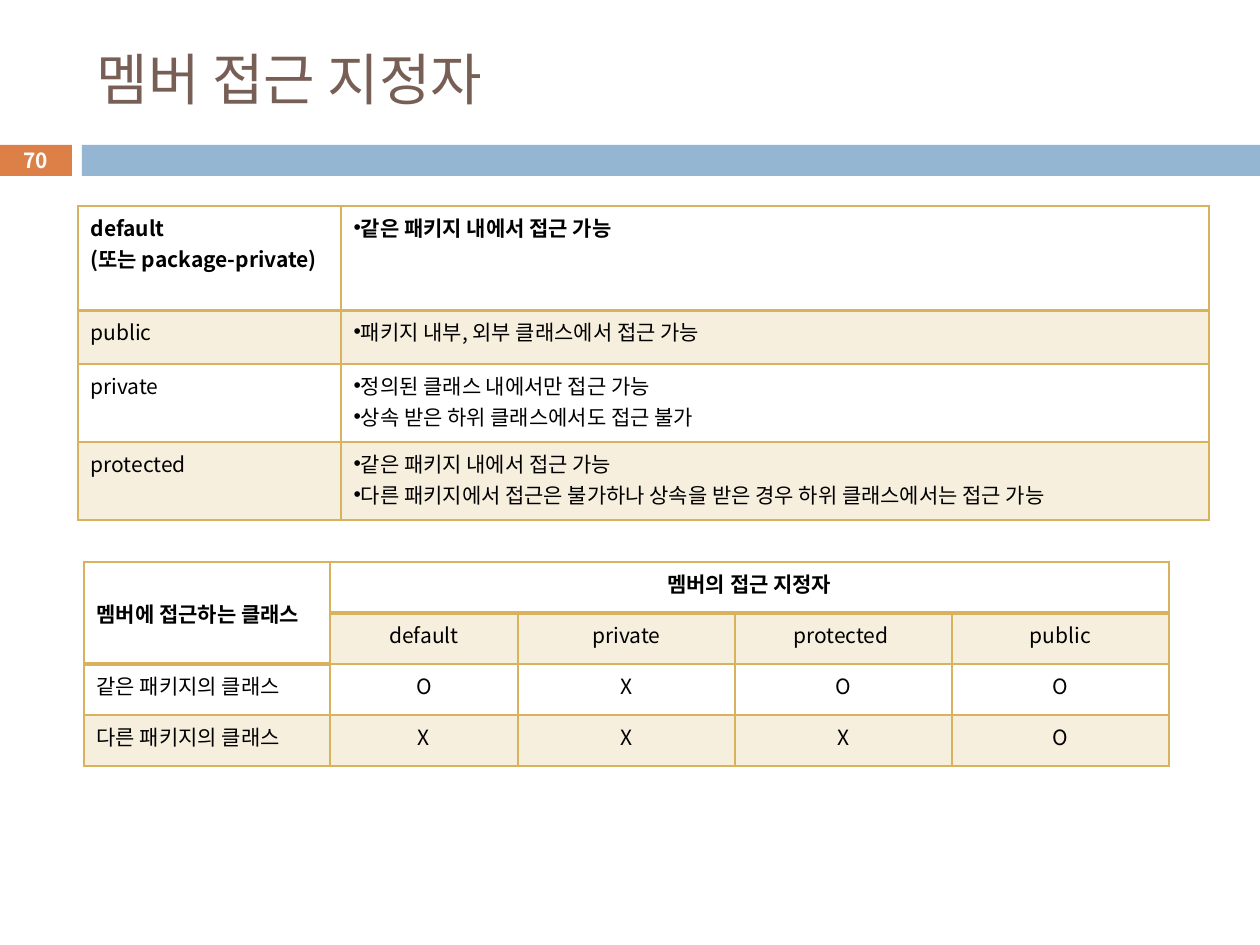
from dataclasses import dataclass
from lxml import etree
from pptx import Presentation
from pptx import util as u
from pptx.dml.color import RGBColor
from pptx.enum import shapes, text
from pptx.oxml import ns

# Content
TITLE = "멤버 접근 지정자"
PAGE = "70"
MODIFIERS = [
    (["default", "(또는 package-private)"], ["같은 패키지 내에서 접근 가능"]),
    (["public"], ["패키지 내부, 외부 클래스에서 접근 가능"]),
    (["private"], ["정의된 클래스 내에서만 접근 가능", "상속 받은 하위 클래스에서도 접근 불가"]),
    (["protected"], ["같은 패키지 내에서 접근 가능",
                     "다른 패키지에서 접근은 불가하나 상속을 받은 경우 하위 클래스에서는 접근 가능"]),
]
ACCESS = [
    ("멤버에 접근하는 클래스", "멤버의 접근 지정자", None, None, None),
    (None, "default", "private", "protected ", "public"),
    ("같은 패키지의 클래스", "O", "X", "O", "O"),
    ("다른 패키지의 클래스", "X", "X", "X", "O"),
]


@dataclass(frozen=True)
class Theme:
    font: str = "Noto Sans CJK KR"
    title: str = "775F55"
    ink: str = "000000"
    white: str = "FFFFFF"
    orange: str = "DD8047"
    blue: str = "94B6D2"
    gold: str = "D8B25C"
    tint: int = 20
    title_pt: float = 32
    body_pt: float = 12
    page_pt: float = 11.9


T = Theme()
SCALE = 914400 / 126


def px(n):
    return u.Emu(round(n * SCALE))


def box(*lengths):
    return [px(n) for n in lengths]


def add_run(p, words, size, color, bold=False):
    r = p.add_run()
    r.text = words
    f = r.font
    f.size, f.bold, f.name = u.Pt(size), bold, T.font
    f.color.rgb = RGBColor.from_string(color)
    etree.SubElement(r._r.get_or_add_rPr(), ns.qn("a:ea"), typeface=T.font)


def add_bar(s, color, *place):
    sp = s.shapes.add_shape(shapes.MSO_SHAPE.RECTANGLE, *box(*place))
    sp.shadow.inherit = False
    sp.fill.solid()
    sp.fill.fore_color.rgb = RGBColor.from_string(color)
    sp.line.fill.background()


def set_bullet(p):
    pPr = p._p.get_or_add_pPr()
    pPr.set("marL", "0")
    pPr.set("indent", "0")
    etree.SubElement(pPr, ns.qn("a:buFont"), typeface="Arial")
    etree.SubElement(pPr, ns.qn("a:buChar"), char="•")


def paint_cell(cell, tinted):
    if not tinted:
        cell.fill.background()
        return
    cell.fill.solid()
    cell.fill.fore_color.rgb = RGBColor.from_string(T.gold)
    clr = cell._tc.tcPr.find(".//" + ns.qn("a:srgbClr"))
    etree.SubElement(clr, ns.qn("a:alpha"), val=str(T.tint * 1000))


def set_borders(cell, top, bottom):
    tcPr = cell._tc.get_or_add_tcPr()
    for i, (side, width) in enumerate(zip("LRTB", (1, 1, top, bottom))):
        ln = etree.Element(ns.qn("a:ln" + side), w=str(u.Pt(width)))
        fill = etree.SubElement(ln, ns.qn("a:solidFill"))
        etree.SubElement(fill, ns.qn("a:srgbClr"), val=T.gold)
        tcPr.insert(i, ln)


def write_cell(cell, lines, bold, bullet=False, centred=False):
    tf = cell.text_frame
    for i, line in enumerate(lines):
        p = tf.add_paragraph() if i else tf.paragraphs[0]
        if bullet:
            set_bullet(p)
        if centred:
            p.alignment = text.PP_ALIGN.CENTER
        add_run(p, line, T.body_pt, T.ink, bold)


def add_grid(s, left, top, cols, rows, heavy):
    """Odd rows are tinted; cells in heavy have a thick bottom edge."""
    frame = s.shapes.add_table(len(rows), len(cols), *box(left, top, sum(cols), sum(rows)))
    tbl = frame.table
    tbl.first_row = tbl.horz_banding = False
    for col, width in zip(tbl.columns, cols):
        col.width = px(width)
    for i, height in enumerate(rows):
        tbl.rows[i].height = px(height)
        for j in range(len(cols)):
            cell = tbl.cell(i, j)
            paint_cell(cell, i % 2 == 1)
            set_borders(cell, 2 if (i - 1, j) in heavy else 1, 2 if (i, j) in heavy else 1)
    return tbl


def main():
    prs = Presentation()
    prs.slide_width, prs.slide_height = box(1260, 945)
    s = prs.slides.add_slide(prs.slide_layouts[5])

    # Title and page band
    title = s.shapes.title
    title.left, title.top, title.width, title.height = box(84, 32, 1124, 93)
    tf = title.text_frame
    tf.vertical_anchor = text.MSO_ANCHOR.MIDDLE
    tf.paragraphs[0].alignment = text.PP_ALIGN.LEFT
    add_run(tf.paragraphs[0], TITLE, T.title_pt, T.title)
    add_bar(s, T.orange, -1, 145, 73, 31)
    add_bar(s, T.blue, 82, 145, 1178, 31)

    # Modifier descriptions
    tbl = add_grid(s, 78, 206, [263, 868], [88, 54, 78, 78], {(0, 0), (0, 1)})
    for i, (names, rules) in enumerate(MODIFIERS):
        write_cell(tbl.cell(i, 0), names, i == 0)
        write_cell(tbl.cell(i, 1), rules, i == 0, bullet=True)

    # Access matrix
    heavy = {(0, j) for j in range(5)} | {(1, 0)}
    tbl = add_grid(s, 84, 562, [246, 188, 217, 217, 217], [51] * 4, heavy)
    tbl.cell(0, 0).merge(tbl.cell(1, 0))
    tbl.cell(0, 1).merge(tbl.cell(0, 4))
    tbl.cell(0, 0).vertical_anchor = text.MSO_ANCHOR.MIDDLE
    for i, row in enumerate(ACCESS):
        for j, words in enumerate(row):
            if words:
                write_cell(tbl.cell(i, j), [words], i == 0, centred=j > 0)

    # Page number
    tf = s.shapes.add_textbox(*box(-1, 143, 73, 34)).text_frame
    tf.word_wrap = True
    tf.margin_top = tf.margin_bottom = 0
    tf.vertical_anchor = text.MSO_ANCHOR.MIDDLE
    tf.paragraphs[0].alignment = text.PP_ALIGN.CENTER
    add_run(tf.paragraphs[0], PAGE, T.page_pt, T.white, True)

    prs.save("out.pptx")


if __name__ == "__main__":
    main()
